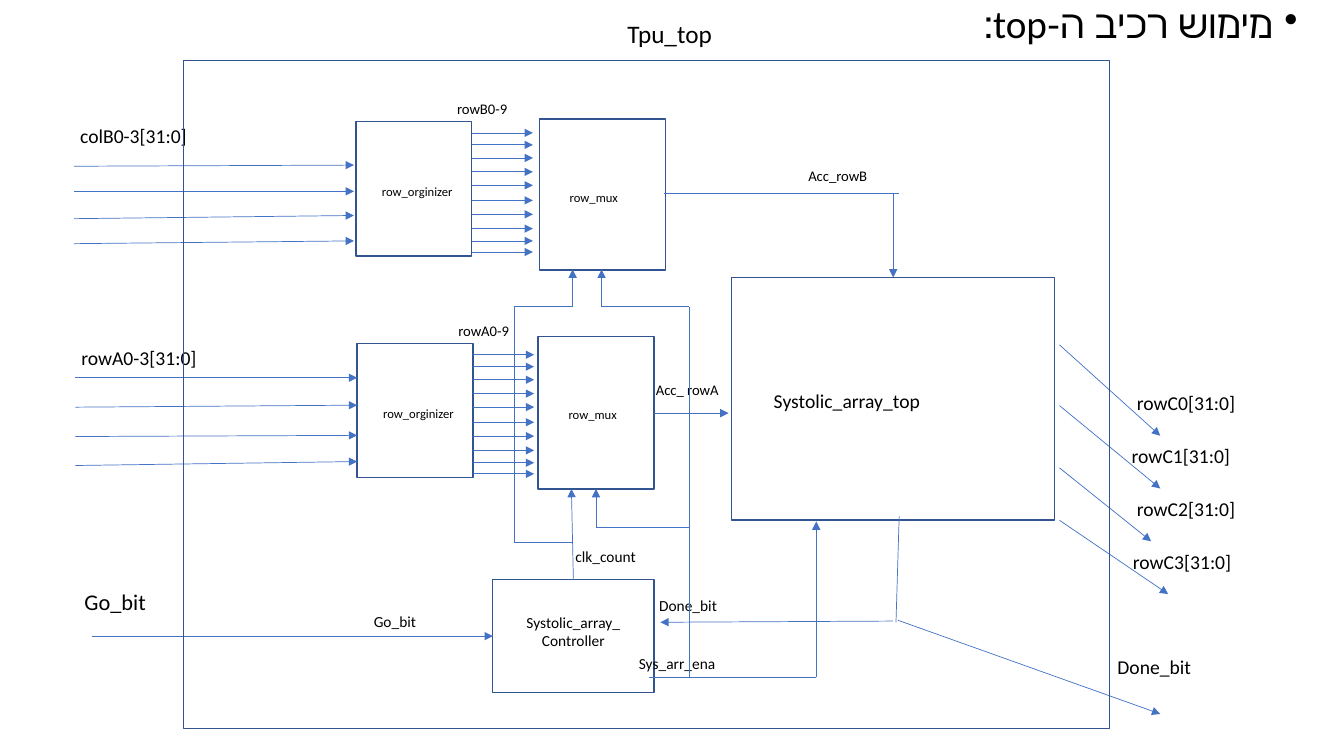
from lxml.etree import SubElement
from pptx import Presentation
from pptx.dml.color import RGBColor
from pptx.enum.shapes import MSO_CONNECTOR as Connector, MSO_SHAPE as Shape
from pptx.enum.text import PP_ALIGN as Align
from pptx.oxml.ns import qn
from pptx.util import Cm, Pt

FONT = "Calibri"
BLACK, BORDER, WIRE = "000000", "325491", "4472C4"
BUS_HEIGHTS = (0.28, 0.58, 0.91, 1.26, 1.6, 1.98, 2.33, 2.69, 3.0, 3.28)


def color(value):
    return RGBColor.from_string(value)


def add_label(slide, left, top, width, text, size, align=Align.LEFT, height=0.8):
    shape = slide.shapes.add_textbox(Cm(left), Cm(top), Cm(width), Cm(height))
    shape.text_frame.word_wrap = True
    paragraph = shape.text_frame.paragraphs[0]
    paragraph.text = text
    paragraph.alignment = align
    font = paragraph.runs[0].font
    for run in paragraph.runs:
        font = run.font
        for name, value in {"name": FONT, "size": Pt(size)}.items():
            setattr(font, name, value)
        font.color.rgb = color(BLACK)
    return paragraph


def add_block(slide, left, top, width, height):
    shape = slide.shapes.add_shape(
        Shape.RECTANGLE, Cm(left), Cm(top), Cm(width), Cm(height))
    shape.shadow.inherit = False
    shape.fill.background()
    shape.line.color.rgb = color(BORDER)
    shape.line.width = Pt(1)


def add_wire(slide, left, top, points, arrow=True):
    """Joins the points, given relative to left and top; the last leg has the arrow."""
    legs = list(zip(points, points[1:]))
    for number, ((x1, y1), (x2, y2)) in enumerate(legs, 1):
        wire = slide.shapes.add_connector(
            Connector.STRAIGHT, Cm(left + x1), Cm(top + y1), Cm(left + x2), Cm(top + y2))
        wire.line.color.rgb = color(WIRE)
        wire.line.width = Pt(0.5)
        properties = wire.line._get_or_add_ln()
        if arrow and number == len(legs):
            SubElement(properties, qn("a:tailEnd"), type="triangle")
        SubElement(properties.getparent(), qn("a:effectLst"))


def add_organizer(slide, left, top, input_name, bus_name, inputs, input_end):
    width = 2.92
    add_block(slide, left, top, width, 3.38)
    add_label(slide, left + 0.2, top + 1.45, 2.69, "row_orginizer", 9, Align.CENTER)
    # Four inputs
    add_label(slide, left - 7.2, top - 0.08, 4.6, input_name, 14)
    for start, end in inputs:
        add_wire(slide, left, top, [(-7.1, start), (input_end, end)])
    # Ten rows to the mux
    add_label(slide, left + 2.3, top - 0.67, 2.18, bus_name, 10.5)
    for height in BUS_HEIGHTS:
        add_wire(slide, left, top, [(width, height), (width + 1.54, height)])


def add_mux(slide, left, top, width, height, output_name, name_at, wires):
    add_block(slide, left, top, width, height)
    add_label(slide, left + 0.41, top + 1.65, 1.93, "row_mux", 9, Align.CENTER)
    add_label(slide, left + name_at[0], top + name_at[1], 2.18, output_name, 10.5)
    for points, arrow in wires:
        add_wire(slide, left, top, points, arrow)


def add_controller(slide, left, top):
    add_block(slide, left, top, 4.06, 2.84)
    add_label(slide, left, top + 0.71, 4.06, "Systolic_array_\vController", 11,
              Align.CENTER, 1.68)
    for x, y, width, text, size in (
            (-10.54, 0.08, 2.13, "Go_bit", 16),
            (-3.25, 0.69, 2.97, "Go_bit", 11),
            (3.94, 0.28, 2.97, "Done_bit", 11),
            (1.83, -0.94, 2.59, "clk_count", 11),
            (3.43, 1.75, 3.35, "Sys_arr_ena", 11)):
        add_label(slide, left + x, top + y, width, text, size)
    for points in (
            # Go signal
            [(-10.11, 1.42), (0, 1.42)],
            # Clock count to both muxes
            [(2.03, 0), (1.98, -2.29)],
            [(2.03, -0.94), (0.53, -0.94), (0.53, -6.88), (2.01, -6.88), (2.01, -7.82)],
            # Enable to the array and both muxes
            [(3.94, 2.46), (8.15, 2.46), (8.15, -1.47)],
            [(4.95, 2.46), (4.95, -6.88), (2.74, -6.88), (2.74, -7.82)],
            [(4.95, -1.32), (2.6, -1.32), (2.6, -2.29)]):
        add_wire(slide, left, top, points)


def add_array(slide, left, top):
    add_block(slide, left, top, 8.13, 6.12)
    add_label(slide, left + 0.81, top + 2.69, 5.28, "Systolic_array_top", 14)
    # Result rows
    results = ((1.7, 10.8, 9.96), (3.23, 10.8, 9.83), (4.8, 10.57, 9.96), (6.12, 11, 9.86))
    for row, (start, end, name_left) in enumerate(results):
        drop = 1.33 * row
        add_wire(slide, left, top, [(8.26, start), (end, 3.99 + drop)])
        add_label(slide, left + name_left, top + 2.74 + drop, 3.3, f"rowC{row}[31:0]", 14)
    # Done signal
    add_wire(slide, left, top, [(4.22, 6.02), (4.14, 8.69)], arrow=False)
    add_wire(slide, left, top, [(4.06, 8.66), (-1.8, 8.69)])
    add_wire(slide, left, top, [(4.19, 8.64), (10.8, 11)])
    add_label(slide, left + 9.47, top + 9.4, 2.46, "Done_bit", 14)


def add_heading(slide, left, top, width):
    paragraph = add_label(slide, left, top, width, "מימוש רכיב ה-top:", 28,
                          Align.RIGHT, 1.9)
    paragraph.line_spacing = 0.9
    paragraph.space_before = Pt(10)
    properties = paragraph._p.get_or_add_pPr()
    indent = Cm(0.64)
    for name, value in {"marL": indent, "indent": -indent, "rtl": 1}.items():
        properties.set(name, str(int(value)))
    SubElement(properties, qn("a:buChar"), char="•")


def add_top_frame(slide, left, top, width, height):
    add_block(slide, left, top, width, height)
    add_label(slide, left + 9.83, top - 1.19, 4.85, "Tpu_top", 18, Align.CENTER)


presentation = Presentation()
presentation.slide_width, presentation.slide_height = Cm(33.87), Cm(19.05)
slide = presentation.slides.add_slide(presentation.slide_layouts[6])

add_organizer(slide, 8.97, 3.07, "colB0-3[31:0]", "rowB0-9",
              ((1.12, 1.09), (1.75, 1.75), (2.44, 2.36), (3.07, 3.0)), -0.05)
add_organizer(slide, 9.0, 8.66, "rowA0-3[31:0]", "rowA0-9",
              ((0.86, 0.86), (1.6, 1.55), (2.34, 2.31), (3.07, 2.97)), 0)
add_mux(slide, 13.59, 3.0, 3.18, 3.81, "Acc_rowB", (6.53, 1.07),
        (([(3.15, 1.88), (9.07, 1.88)], False), ([(8.92, 1.88), (8.92, 3.99)], True)))
add_mux(slide, 13.56, 8.48, 2.92, 3.84, "Acc_ rowA", (2.72, 0.99),
        (([(2.92, 1.93), (4.8, 1.93)], True),))
add_controller(slide, 12.42, 14.61)
add_array(slide, 18.44, 6.99)
add_top_frame(slide, 4.62, 1.52, 23.34, 16.84)
add_heading(slide, 23.62, 0, 9.35)

presentation.save("out.pptx")
